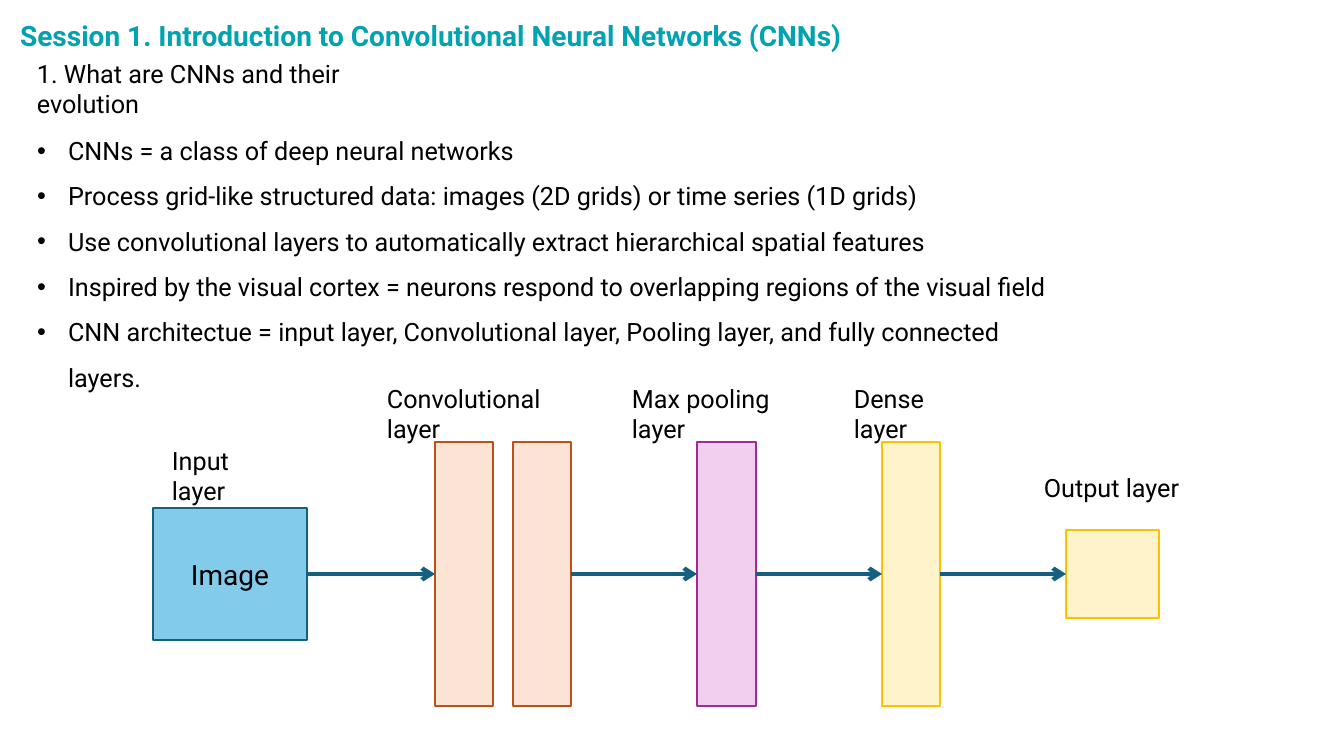
from lxml.etree import SubElement
from pptx import Presentation
from pptx.dml.color import RGBColor
from pptx.enum.shapes import MSO_CONNECTOR, MSO_SHAPE
from pptx.enum.text import MSO_ANCHOR, MSO_AUTO_SIZE, PP_ALIGN
from pptx.oxml.ns import qn
from pptx.util import Pt

PX = 914400 / 100.8
FONT = "Roboto"
BLACK, TEAL, NAVY = "000000", "01A3B0", "156082"

TITLE = "Session 1. Introduction to Convolutional Neural Networks (CNNs)"
BULLETS = [
    "CNNs = a class of deep neural networks",
    "Process grid-like structured data: images (2D grids) or time series (1D grids)",
    "Use convolutional layers to automatically extract hierarchical spatial features",
    "Inspired by the visual cortex = neurons respond to overlapping regions of the visual field",
    "CNN architectue = input layer, Convolutional layer, Pooling layer, and fully connected layers.",
]
HEADING = ("1. What are CNNs and their evolution", 27, 53, 425)
LABELS = [
    ("Input layer", 162, 440, 130),
    ("Convolutional layer", 377, 378, 230),
    ("Max pooling layer", 622, 378, 205),
    ("Dense layer", 844, 378, 145),
    ("Output layer", 1034, 467, 160),
]
AXIS = 574
LAYERS = {
    "image": (153, 154, 132, "83CBEB", NAVY),
    "first convolution": (435, 58, 264, "FBE3D6", "C04F15"),
    "second convolution": (513, 58, 264, "FBE3D6", "C04F15"),
    "pooling": (697, 59, 264, "F2CFEE", "A02B93"),
    "dense": (882, 58, 264, "FFF3CC", "FFC000"),
    "output": (1066, 93, 88, "FFF3CC", "FFC000"),
}
ARROWS = [
    ("image", "first convolution"),
    ("second convolution", "pooling"),
    ("pooling", "dense"),
    ("dense", "output"),
]


def px(*lengths):
    return [round(length * PX) for length in lengths]


def color(value):
    return RGBColor.from_string(value)


def style(para, size, value=BLACK, bold=False, align=PP_ALIGN.LEFT):
    para.alignment = align
    para.space_before = Pt(0)
    para.font.name = FONT
    para.font.size = Pt(size)
    para.font.bold = bold
    para.font.color.rgb = color(value)


def place(shape, *bounds):
    shape.left, shape.top, shape.width, shape.height = px(*bounds)
    frame = shape.text_frame
    frame.word_wrap = True
    frame.auto_size = MSO_AUTO_SIZE.NONE
    frame.vertical_anchor = MSO_ANCHOR.TOP
    return frame


def add_bullet(para):
    properties = para._p.get_or_add_pPr()
    indent, = px(31)
    properties.set("marL", str(indent))
    properties.set("indent", str(-indent))
    SubElement(properties, qn("a:buFont"), typeface="Arial")
    SubElement(properties, qn("a:buChar"), char="•")


def add_label(page, text, left, top, width):
    box = page.shapes.add_textbox(*px(left, top, width, 40))
    box.text_frame.word_wrap = True
    para = box.text_frame.paragraphs[0]
    para.text = text
    style(para, 18)


def add_layer(page, left, width, height, fill, line):
    layer = page.shapes.add_shape(
        MSO_SHAPE.RECTANGLE, *px(left, AXIS - height / 2, width, height))
    layer.shadow.inherit = False
    layer.fill.solid()
    layer.fill.fore_color.rgb = color(fill)
    layer.line.color.rgb = color(line)
    layer.line.width = Pt(1.5)
    return layer


def add_arrow(page, source, target):
    arrow = page.shapes.add_connector(MSO_CONNECTOR.STRAIGHT, 0, 0, 0, 0)
    arrow.begin_connect(source, 3)
    arrow.end_connect(target, 1)
    arrow.line.color.rgb = color(NAVY)
    arrow.line.width = Pt(3)
    SubElement(arrow.line._get_or_add_ln(), qn("a:tailEnd"), type="arrow")
    SubElement(arrow._element.spPr, qn("a:effectLst"))


def main():
    deck = Presentation()
    deck.slide_width, deck.slide_height = px(1344, 756)
    page = deck.slides.add_slide(deck.slide_layouts[1])

    frame = place(page.shapes.title, 10, 13, 857, 44)
    frame.text = TITLE
    style(frame.paragraphs[0], 20, TEAL, bold=True)

    add_label(page, *HEADING)

    frame = place(page.placeholders[1], 27, 115, 1052, 235)
    frame.text = "\n".join(BULLETS)
    for para in frame.paragraphs:
        para.line_spacing = 1.5
        para.space_before = Pt(0)
        add_bullet(para)
        style(para, 18)

    layers = {name: add_layer(page, *look) for name, look in LAYERS.items()}
    frame = layers["image"].text_frame
    frame.vertical_anchor = MSO_ANCHOR.MIDDLE
    frame.text = "Image"
    style(frame.paragraphs[0], 20, align=PP_ALIGN.CENTER)

    for label in LABELS:
        add_label(page, *label)
    for source, target in ARROWS:
        add_arrow(page, layers[source], layers[target])

    deck.save("out.pptx")


if __name__ == "__main__":
    main()
